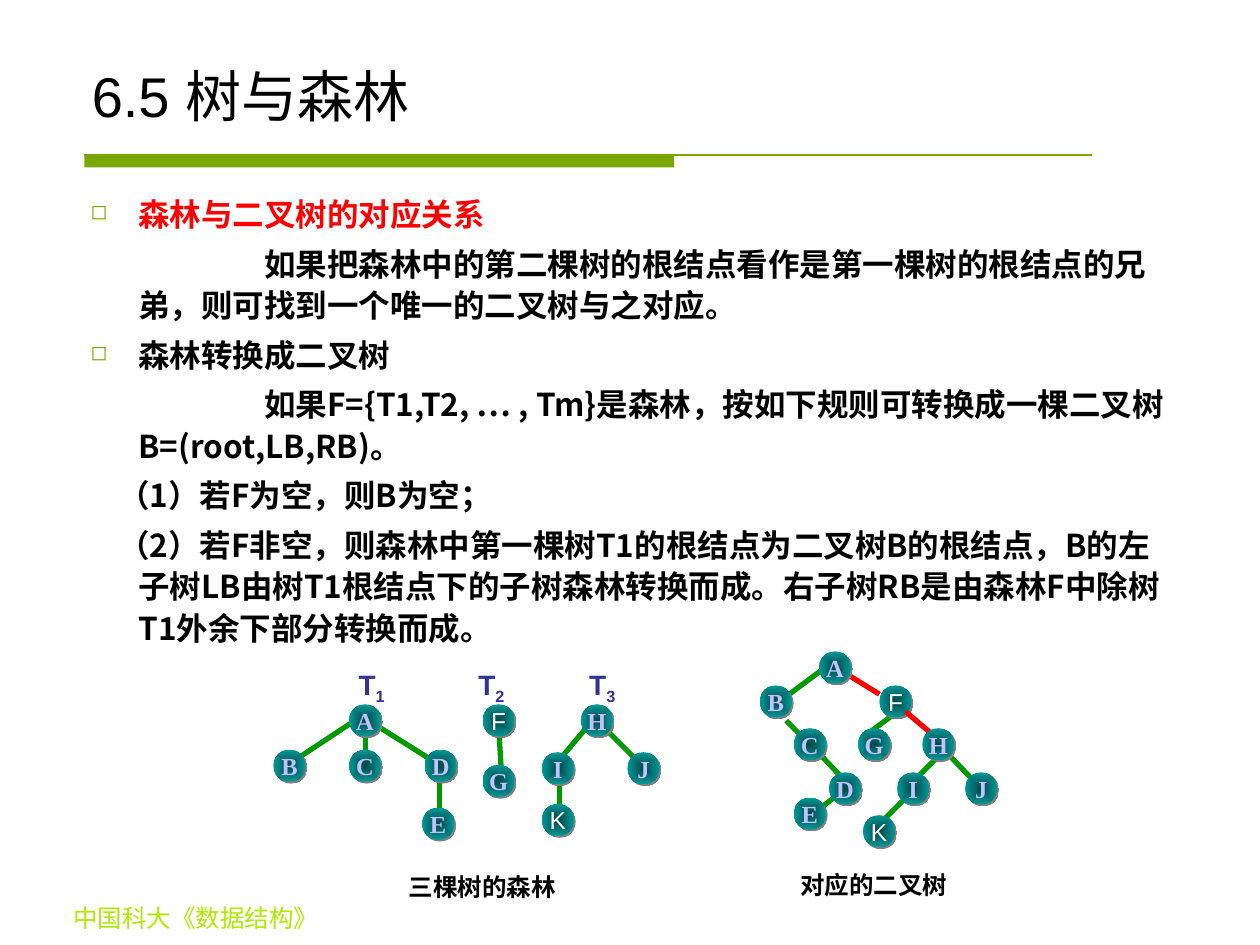
import dataclasses

import pptx
import pptx.dml.color
import pptx.enum.shapes
import pptx.enum.text
import pptx.oxml
import pptx.oxml.ns
import pptx.util

ALIGN = pptx.enum.text.PP_ALIGN
ANCHOR = pptx.enum.text.MSO_ANCHOR
SHAPE = pptx.enum.shapes.MSO_SHAPE
CELL = pptx.util.Inches(0.1)
COLUMNS, ROWS = 100, 75
NODE = 2.56


@dataclasses.dataclass(frozen=True)
class Theme:
    rule: str = "7BA600"
    bullet: str = "7CA800"
    edge: str = "009900"
    turned_edge: str = "FF0000"
    node_centre: str = "004646"
    node_rim: str = "009999"
    node_shadow: str = "808080"
    title: tuple = ("Arial", 32, False, "000000")
    body: tuple = ("Noto Sans CJK SC", 18, True, "000000")
    heading: tuple = ("Noto Sans CJK SC", 18, True, "FF0000")
    footer: tuple = ("Times New Roman", 14, False, "ADEA00")
    caption: tuple = ("Roboto", 14, True, "000000")
    node: tuple = ("Times New Roman", 14, True, "C1C1FF")
    plain_node: tuple = ("Arial", 14, False, "FFFFFF")
    tree_name: tuple = ("Arial", 16, True, "333399")


THEME = Theme()

PARAGRAPHS = [
    ("森林与二叉树的对应关系", THEME.heading, -0.38, True),
    ("如果把森林中的第二棵树的根结点看作是第一棵树的根结点的兄弟，则可找到一个唯一的二叉树与之对应。",
     THEME.body, 1, False),
    ("森林转换成二叉树", THEME.body, -0.38, True),
    ("如果F={T1,T2, … , Tm}是森林，按如下规则可转换成一棵二叉树B=(root,LB,RB)。",
     THEME.body, 1, False),
    ("（1）若F为空，则B为空；", THEME.body, -0.16, False),
    ("（2）若F非空，则森林中第一棵树T1的根结点为二叉树B的根结点，B的左子树LB由树T1根结点下的子树森林转换而成。"
     "右子树RB是由森林F中除树T1外余下部分转换而成。", THEME.body, -0.16, False),
]

FOREST = [
    ([(39.6, 58, 39.8, 61.4)],
     {"F": (38.3, 55.9), "G": (38.3, 60.7)}),
    ([(29.6, 57.4, 34.7, 60.6), (28.3, 57.1, 23, 60.6),
      (34.9, 61.4, 34.9, 64.8), (29, 58.3, 29, 61.3)],
     {"C": (27.7, 59.5), "E": (33.5, 64.1), "B": (21.7, 59.5),
      "D": (33.7, 59.5), "A": (27.7, 55.9)}),
    ([(44.4, 61.7, 44.4, 64.5), (46.5, 57.8, 43.9, 60.9), (47.8, 57.6, 50.5, 60.3)],
     {"J": (49.8, 59.7), "I": (43, 59.7), "K": (43, 63.8), "H": (46.1, 55.9)}),
]

BINARY_TREE = [
    ([(66.4, 53, 69.8, 55.1, THEME.turned_edge), (71.2, 56.5, 68.5, 58.5)],
     {"F": (69.8, 54.4), "G": (68.1, 57.8)}),
    ([(65.1, 59.9, 67.1, 62), (65.6, 52.9, 61.7, 55.8),
      (67.1, 62.6, 64.4, 64.7), (62.4, 57.2, 64.4, 59.2)],
     {"C": (63, 57.8), "E": (63, 63.3), "B": (60.3, 54.4),
      "D": (65.8, 61.3), "A": (65, 51.7)}),
    ([(71.9, 63.3, 69.8, 65.4), (73.9, 58.2, 71.9, 56.5, THEME.turned_edge),
      (75.3, 59.9, 77.3, 62), (74.6, 59.9, 72.5, 62)],
     {"K": (68.5, 64.7), "H": (73.2, 57.8), "I": (71.2, 61.3), "J": (76.6, 61.3)}),
]


def cells(*counts):
    return [round(count * CELL) for count in counts]


def rgb(code):
    return pptx.dml.color.RGBColor.from_string(code)


def apply(target, formats):
    for name, value in formats.items():
        setattr(target, name, value)


def drawing(tag, children="", **attributes):
    listed = "".join(f' {name}="{value}"' for name, value in attributes.items())
    namespace = pptx.oxml.ns.nsdecls("a")
    return pptx.oxml.parse_xml(f"<a:{tag} {namespace}{listed}>{children}</a:{tag}>")


def write(paragraph, words, style):
    run = paragraph.add_run()
    run.text = words
    name, size, bold, colour = style
    apply(run.font, {"name": name, "size": pptx.util.Pt(size), "bold": bold})
    run.font.color.rgb = rgb(colour)
    if style in (THEME.body, THEME.heading):
        run.font._element.append(drawing("ea", typeface=name))
    return run


def add_text(slide, place, words, style, align=ALIGN.CENTER, anchor=ANCHOR.TOP):
    frame = slide.shapes.add_textbox(*cells(*place)).text_frame
    apply(frame, {"word_wrap": True, "vertical_anchor": anchor})
    paragraph = frame.paragraphs[0]
    paragraph.alignment = align
    if words:
        write(paragraph, words, style)
    return frame


def add_body(slide):
    frame = add_text(slide, (6.2, 14.7, 87.5, 54.3), "", THEME.body, ALIGN.LEFT)
    for index, (words, style, indent, bulleted) in enumerate(PARAGRAPHS):
        paragraph = frame.add_paragraph() if index else frame.paragraphs[0]
        apply(paragraph, {"line_spacing": 1.1, "space_before": pptx.util.Pt(4.5 if index else 0)})
        properties = paragraph._p.get_or_add_pPr()
        properties.set("marL", str(pptx.util.Inches(0.38)))
        properties.set("indent", str(pptx.util.Inches(indent)))
        if bulleted:
            properties.append(drawing("buClr", f'<a:srgbClr val="{THEME.bullet}"/>'))
            properties.append(drawing("buSzPct", val=65000))
            properties.append(drawing("buChar", char="◻"))
        write(paragraph, words, style)


def add_line(slide, ends, colour, width):
    line = slide.shapes.add_connector(pptx.enum.shapes.MSO_CONNECTOR.STRAIGHT, *cells(*ends))
    line.line.color.rgb = rgb(colour)
    line.line.width = pptx.util.Pt(width)
    line._element.spPr.append(drawing("effectLst"))


def add_title_rule(slide):
    left, top = 6.7, 12.3
    bar = slide.shapes.add_shape(SHAPE.RECTANGLE, *cells(left, top, 46.8, 1))
    bar.shadow.inherit = False
    bar.fill.solid()
    bar.fill.fore_color.rgb = rgb(THEME.rule)
    bar.line.fill.background()
    add_line(slide, (left, top, left + 80, top), THEME.rule, 0.75)


def add_node(slide, letter, left, top):
    node = slide.shapes.add_shape(SHAPE.OVAL, *cells(left, top, NODE, NODE))
    node.line.fill.background()
    node.fill.gradient()
    for stop, colour in zip(node.fill.gradient_stops, (THEME.node_centre, THEME.node_rim)):
        stop.color.rgb = rgb(colour)
    gradient = node._element.spPr.find(pptx.oxml.ns.qn("a:gradFill"))
    gradient.remove(gradient.find(pptx.oxml.ns.qn("a:lin")))
    gradient.append(drawing("path", '<a:fillToRect l="50000" t="50000" r="50000" b="50000"/>',
                            path="rect"))
    node._element.spPr.append(drawing(
        "effectLst",
        '<a:outerShdw dist="17780" dir="2700000" algn="ctr" rotWithShape="0">'
        f'<a:srgbClr val="{THEME.node_shadow}"/></a:outerShdw>'))
    apply(node.text_frame, {"word_wrap": False, "vertical_anchor": ANCHOR.MIDDLE})
    paragraph = node.text_frame.paragraphs[0]
    paragraph.alignment = ALIGN.CENTER
    write(paragraph, letter, THEME.plain_node if letter in "FK" else THEME.node)


def add_trees(slide, trees):
    for edges, nodes in trees:
        for x1, y1, x2, y2, *colour in edges:
            add_line(slide, (x1, y1, x2, y2), colour[0] if colour else THEME.edge, 3)
        for letter, (left, top) in nodes.items():
            add_node(slide, letter, left, top)


def add_tree_name(slide, number, left):
    frame = add_text(slide, (left, 52.5, 4, 4.1), "T", THEME.tree_name)
    apply(frame, {"word_wrap": False, "margin_left": 0, "margin_right": 0})
    subscript = write(frame.paragraphs[0], str(number), THEME.tree_name)
    subscript.font._element.set("baseline", "-25000")


def main():
    deck = pptx.Presentation()
    apply(deck, {"slide_width": COLUMNS * CELL, "slide_height": ROWS * CELL})
    slide = deck.slides.add_slide(deck.slide_layouts[6])
    add_title_rule(slide)
    add_text(slide, (0, 71.2, 31.1, 3.4), "中国科大《数据结构》", THEME.footer)
    add_text(slide, (6.3, 3.3, 87.5, 7.4), "6.5 树与森林", THEME.title, ALIGN.LEFT, ANCHOR.BOTTOM)
    add_body(slide)
    add_trees(slide, FOREST)
    for number, left in enumerate((27.5, 37, 45.8), 1):
        add_tree_name(slide, number, left)
    add_trees(slide, BINARY_TREE)
    add_text(slide, (29.8, 68.7, 17, 3.4), "三棵树的森林", THEME.caption)
    add_text(slide, (60.8, 68.6, 17.1, 3.4), "对应的二叉树", THEME.caption)
    deck.save("out.pptx")


if __name__ == "__main__":
    main()
